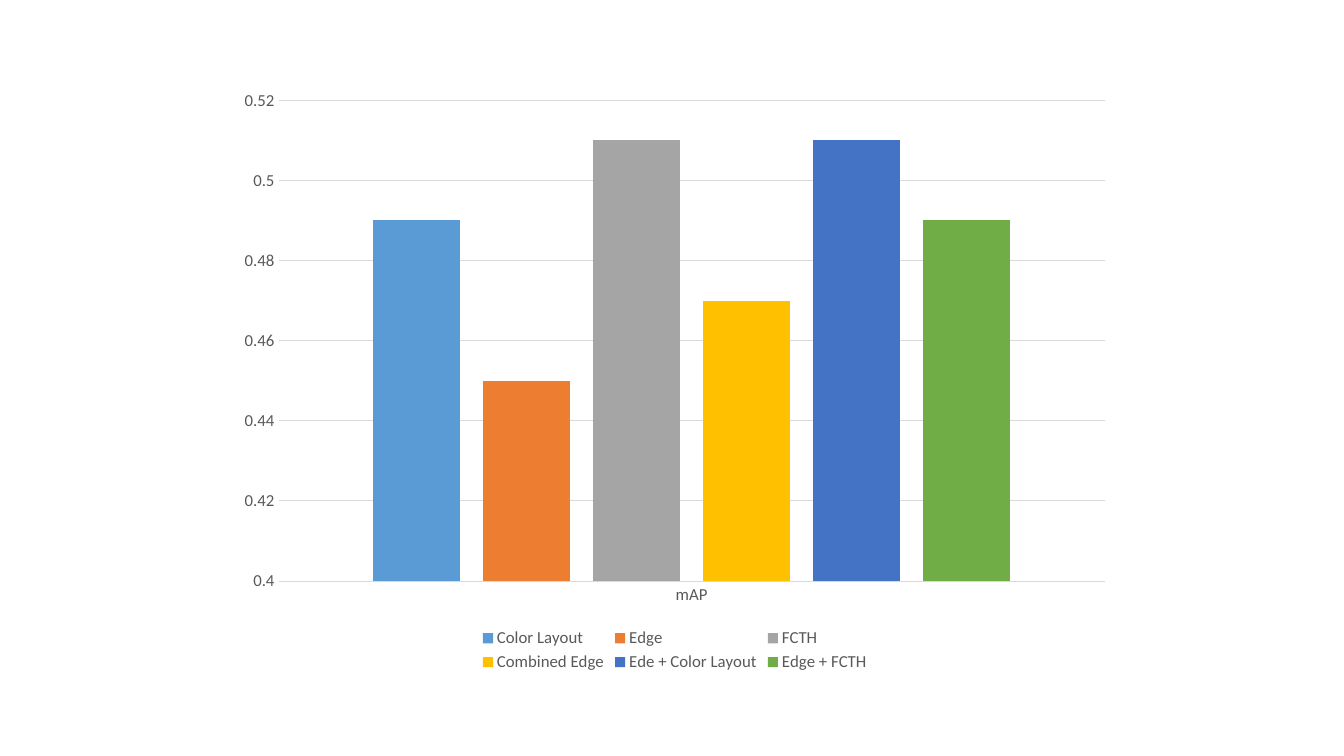
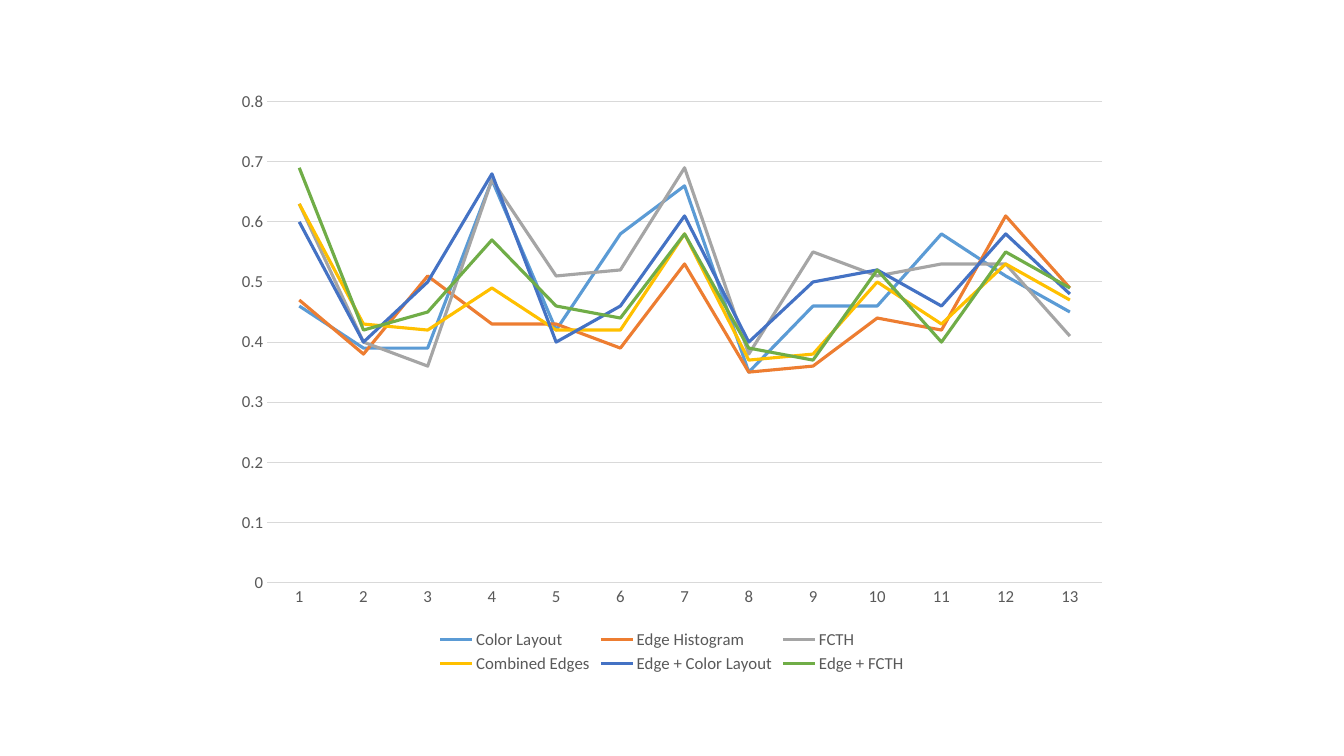
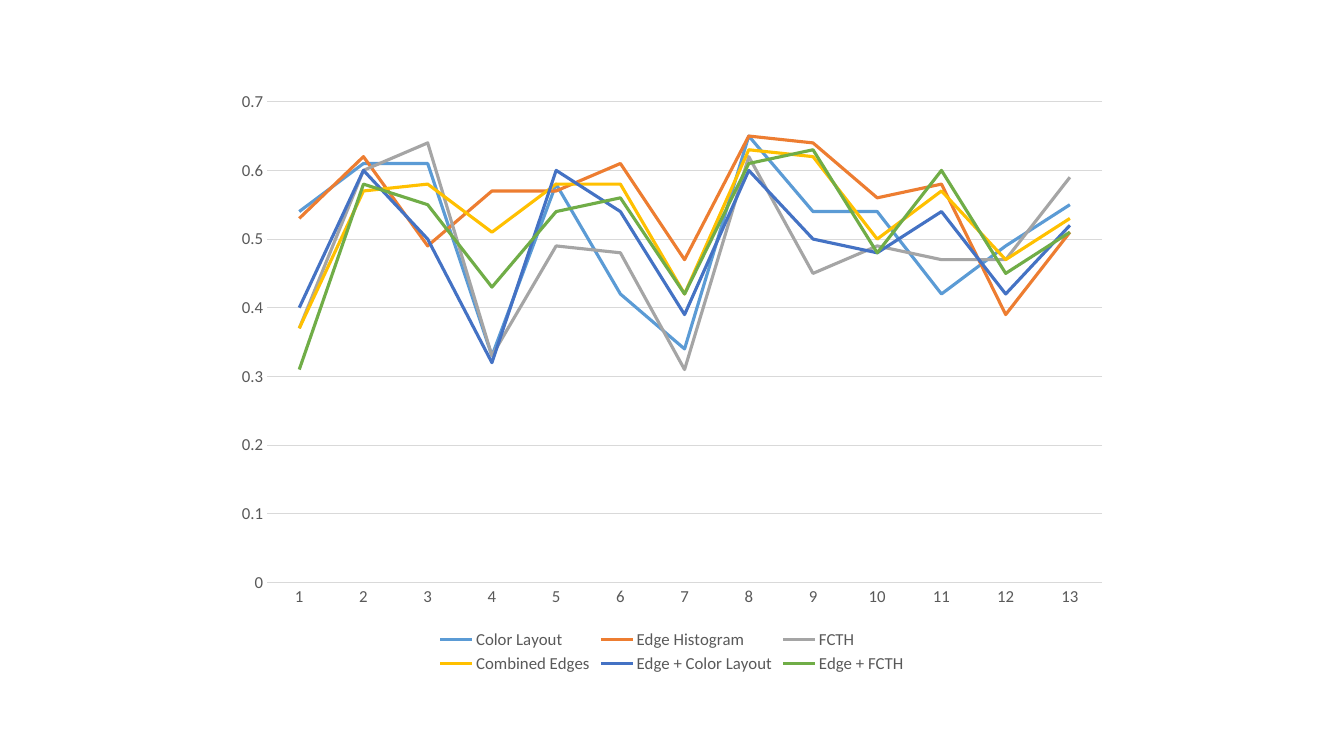
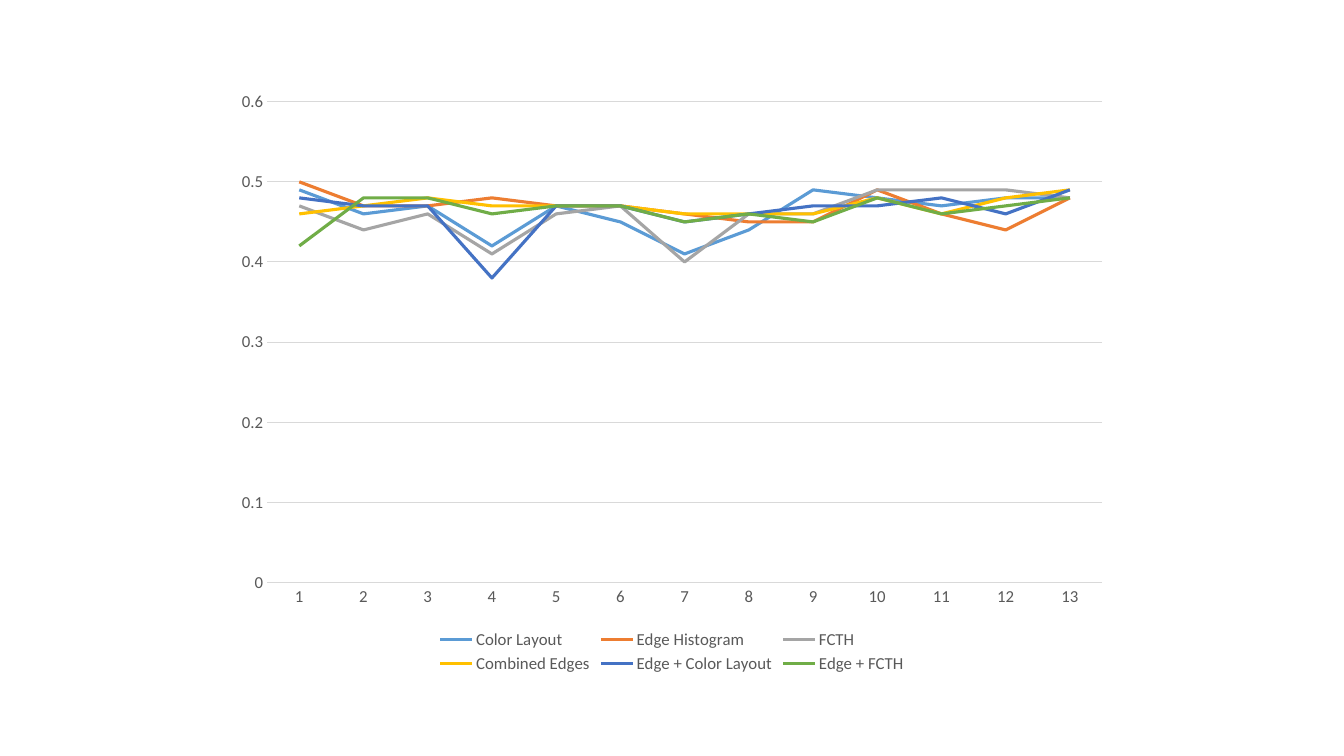
from dataclasses import dataclass

from pptx import Presentation
from pptx.chart import axis as ax, chart as ch, data as dt
from pptx.dml import color as col
from pptx.enum import chart as en
from pptx.text import text as tx
from pptx.util import Pt


@dataclass(frozen=True)
class Theme:
    face: str = "Calibri"
    base: float = 10
    label: float = 12
    black: str = "000000"
    ink: str = "595959"
    rule: str = "D9D9D9"
    thin: float = 0.75
    thick: float = 2.25
    hues: tuple[str, ...] = ("5B9BD5", "ED7D31", "A5A5A5", "FFC000", "4472C4", "70AD47")


@dataclass(frozen=True)
class Plot:
    kind: en.XL_CHART_TYPE
    left: float
    top: float
    low: float
    high: float
    step: float
    cats: list[str]
    names: list[str]
    rows: list[list[float]]


THEME = Theme()
WIDTH, HEIGHT = 640, 427
COLUMN = en.XL_CHART_TYPE.COLUMN_CLUSTERED
LINE = en.XL_CHART_TYPE.LINE


def style(font: tx.Font, size: float = THEME.label, hue: str = THEME.ink) -> None:
    font.name = THEME.face
    font.size = Pt(size)
    font.bold = False
    font.color.rgb = col.RGBColor.from_string(hue)


def stroke(line, hue: str, width: float) -> None:
    line.color.rgb = col.RGBColor.from_string(hue)
    line.width = Pt(width)


def clear(axis: ax._BaseAxis) -> None:
    axis.major_tick_mark = axis.minor_tick_mark = en.XL_TICK_MARK.NONE
    style(axis.tick_labels.font)


def scale(chart: ch.Chart, plot: Plot) -> None:
    base = chart.category_axis
    clear(base)
    base.has_major_gridlines = False
    stroke(base.format.line, THEME.rule, THEME.thin)
    side = chart.value_axis
    clear(side)
    side.minimum_scale, side.maximum_scale = plot.low, plot.high
    side.major_unit = plot.step
    side.has_major_gridlines = True
    stroke(side.major_gridlines.format.line, THEME.rule, THEME.thin)
    side.format.line.fill.background()
    side.tick_labels.number_format = "General"
    side.tick_labels.number_format_is_linked = False


def paint(chart: ch.Chart, kind: en.XL_CHART_TYPE) -> None:
    group = chart.plots[0]
    group.vary_by_categories = False
    if kind == COLUMN:
        group.gap_width, group.overlap = 219, -27
    for series, hue in zip(group.series, THEME.hues):
        if kind == COLUMN:
            series.format.fill.solid()
            series.format.fill.fore_color.rgb = col.RGBColor.from_string(hue)
            series.invert_if_negative = False
        else:
            stroke(series.format.line, hue, THEME.thick)
            series.smooth = False
            series.marker.style = en.XL_MARKER_STYLE.NONE


def draw(deck, plot: Plot) -> None:
    slide = deck.slides.add_slide(deck.slide_layouts[6])
    data = dt.CategoryChartData()
    data.categories = plot.cats
    for name, row in zip(plot.names, plot.rows):
        data.add_series(name, row)
    chart = slide.shapes.add_chart(
        plot.kind, Pt(plot.left), Pt(plot.top), Pt(WIDTH), Pt(HEIGHT), data
    ).chart
    chart.has_title = False
    style(chart.font, THEME.base, THEME.black)
    chart.has_legend = True
    chart.legend.position = en.XL_LEGEND_POSITION.BOTTOM
    chart.legend.include_in_layout = False
    style(chart.legend.font)
    scale(chart, plot)
    paint(chart, plot.kind)


def trend(high: float, rows: list[list[float]]) -> Plot:
    names = ["Color Layout", "Edge Histogram", "FCTH",
             "Combined Edges", "Edge + Color Layout", "Edge + FCTH"]
    cats = [str(n + 1) for n in range(len(rows[0]))]
    return Plot(LINE, 160, 57, 0, high, 0.1, cats, names, rows)


def means(rows: list[list[float]]) -> Plot:
    names = ["Color Layout", "Edge", "FCTH",
             "Combined Edge", "Ede + Color Layout", "Edge + FCTH"]
    marks = [[round(sum(row) / len(row), 2)] for row in rows]
    return Plot(COLUMN, 162, 56, 0.4, 0.52, 0.02, ["mAP"], names, marks)


HITS = [
    [0.46, 0.39, 0.39, 0.67, 0.42, 0.58, 0.66, 0.35, 0.46, 0.46, 0.58, 0.51, 0.45],
    [0.47, 0.38, 0.51, 0.43, 0.43, 0.39, 0.53, 0.35, 0.36, 0.44, 0.42, 0.61, 0.49],
    [0.63, 0.4, 0.36, 0.67, 0.51, 0.52, 0.69, 0.38, 0.55, 0.51, 0.53, 0.53, 0.41],
    [0.63, 0.43, 0.42, 0.49, 0.42, 0.42, 0.58, 0.37, 0.38, 0.5, 0.43, 0.53, 0.47],
    [0.6, 0.4, 0.5, 0.68, 0.4, 0.46, 0.61, 0.4, 0.5, 0.52, 0.46, 0.58, 0.48],
    [0.69, 0.42, 0.45, 0.57, 0.46, 0.44, 0.58, 0.39, 0.37, 0.52, 0.4, 0.55, 0.49],
]
MISSES = [[round(1 - hit, 2) for hit in row] for row in HITS]
SPREAD = [
    [0.49, 0.46, 0.47, 0.42, 0.47, 0.45, 0.41, 0.44, 0.49, 0.48, 0.47, 0.48, 0.48],
    [0.5, 0.47, 0.47, 0.48, 0.47, 0.47, 0.46, 0.45, 0.45, 0.49, 0.46, 0.44, 0.48],
    [0.47, 0.44, 0.46, 0.41, 0.46, 0.47, 0.4, 0.46, 0.46, 0.49, 0.49, 0.49, 0.48],
    [0.46, 0.47, 0.48, 0.47, 0.47, 0.47, 0.46, 0.46, 0.46, 0.48, 0.46, 0.48, 0.49],
    [0.48, 0.47, 0.47, 0.38, 0.47, 0.47, 0.45, 0.46, 0.47, 0.47, 0.48, 0.46, 0.49],
    [0.42, 0.48, 0.48, 0.46, 0.47, 0.47, 0.45, 0.46, 0.45, 0.48, 0.46, 0.47, 0.48],
]


def main() -> None:
    deck = Presentation()
    deck.slide_width, deck.slide_height = Pt(960), Pt(540)
    for plot in (means(HITS), trend(0.8, HITS), trend(0.7, MISSES), trend(0.6, SPREAD)):
        draw(deck, plot)
    deck.save("out.pptx")


main()
